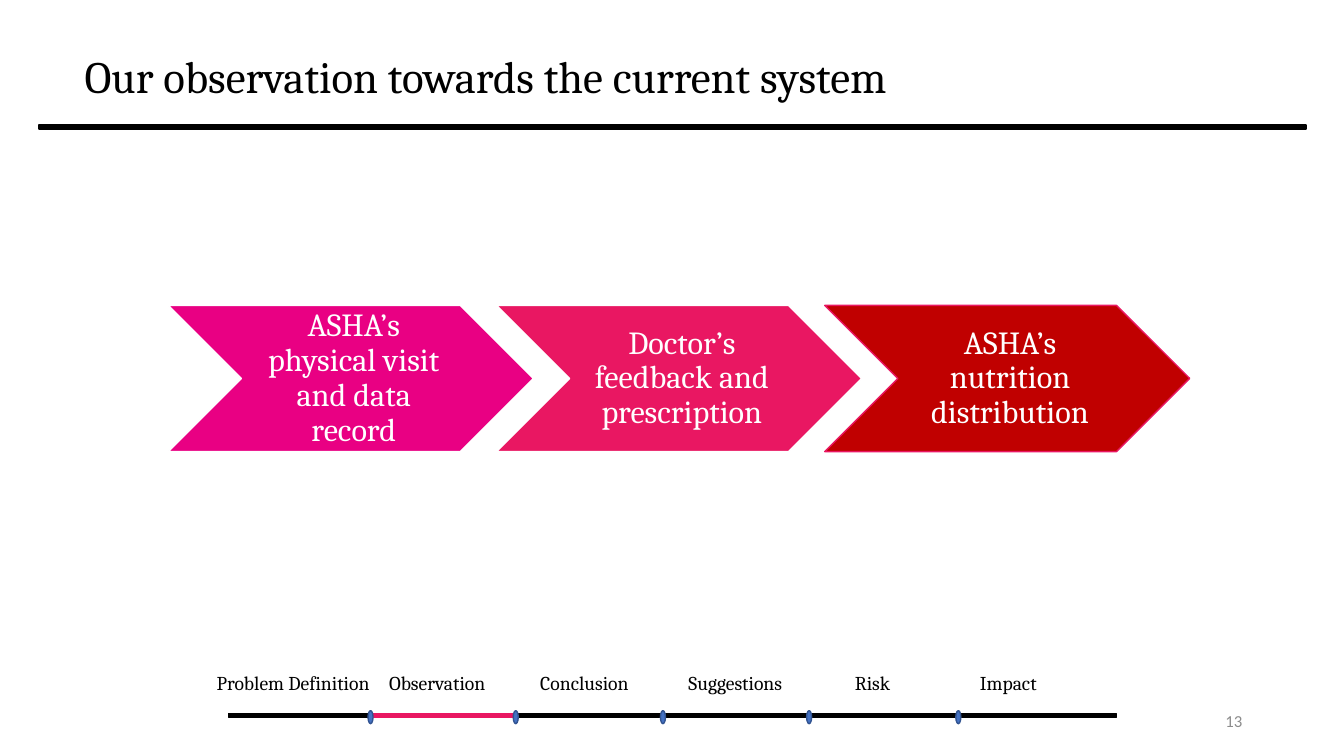
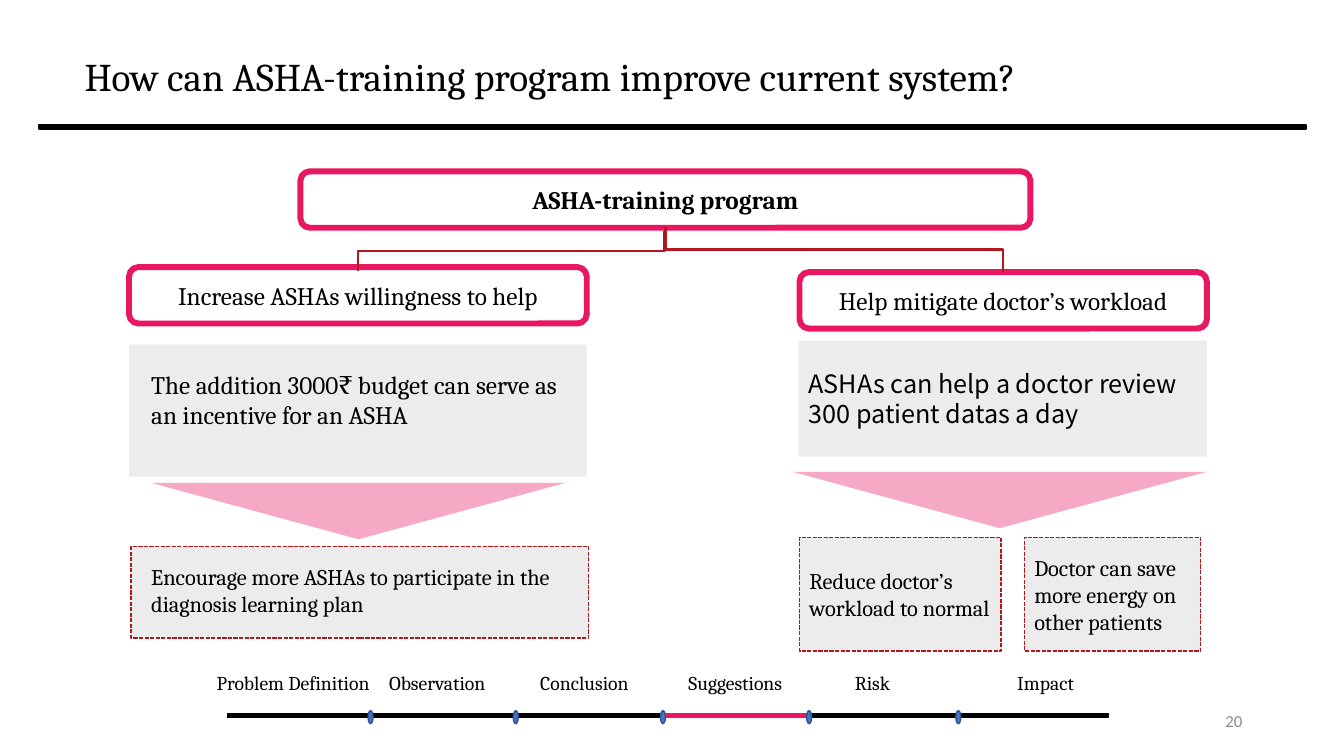
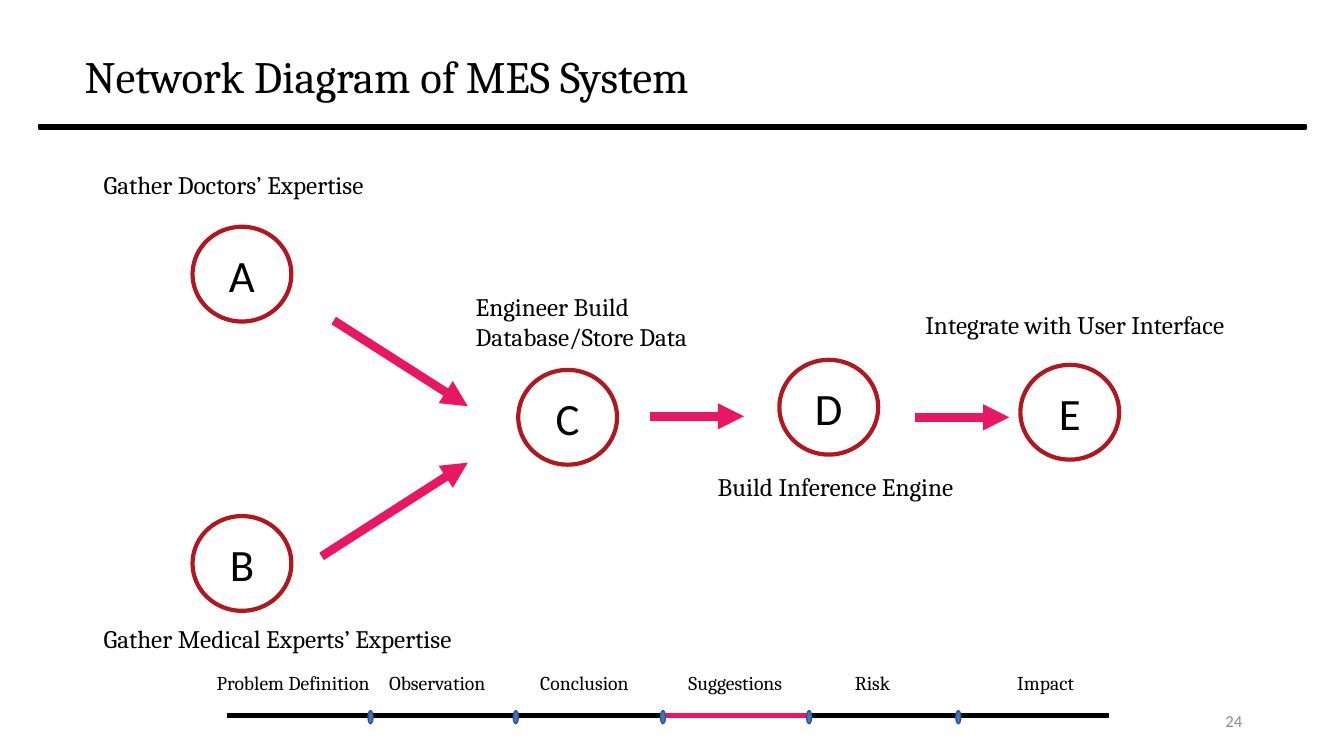
from dataclasses import dataclass

from lxml import etree
from pptx import Presentation
from pptx.dml.color import RGBColor
from pptx.enum.dml import MSO_LINE
from pptx.enum.shapes import MSO_CONNECTOR, MSO_SHAPE
from pptx.enum.text import MSO_ANCHOR, PP_ALIGN
from pptx.oxml.ns import qn
from pptx.util import Inches, Pt

BAR, CHEVRON, OVAL = MSO_SHAPE.MATH_MINUS, MSO_SHAPE.CHEVRON, MSO_SHAPE.OVAL
RECTANGLE, ROUNDED = MSO_SHAPE.RECTANGLE, MSO_SHAPE.ROUNDED_RECTANGLE
TRIANGLE = MSO_SHAPE.ISOSCELES_TRIANGLE
STRAIGHT, ELBOW = MSO_CONNECTOR.STRAIGHT, MSO_CONNECTOR.ELBOW
LEFT, CENTER, RIGHT = PP_ALIGN.LEFT, PP_ALIGN.CENTER, PP_ALIGN.RIGHT
TOP, MIDDLE = MSO_ANCHOR.TOP, MSO_ANCHOR.MIDDLE
DASHED = MSO_LINE.SQUARE_DOT
DEFAULT_MARGINS = (0.1, 0.05, 0.1, 0.05)


@dataclass(frozen=True)
class Theme:
    ink: str = "000000"
    paper: str = "FFFFFF"
    accent: str = "E91762"
    magenta: str = "E90083"
    red: str = "C00000"
    crimson: str = "B0171F"
    panel: str = "E7E6E6"
    dot: str = "4472C4"
    dot_edge: str = "325491"
    muted: str = "8C8C8C"
    serif: str = "Cambria"
    sans: str = "Calibri"
    wide_sans: str = "Noto Sans CJK SC"
    title: int = 32
    long_title: int = 28
    step: int = 23
    body: int = 18
    note: int = 16
    stage: int = 14
    number: int = 12


@dataclass(frozen=True)
class Box:
    left: float
    top: float
    width: float
    height: float

    def inner(self, left, top, width, height):
        """Box placed relative to this one's top left corner."""
        return Box(self.left + left, self.top + top, width, height)

    def lengths(self):
        return [Inches(value) for value in
                (self.left, self.top, self.width, self.height)]


THEME = Theme()
PAGE = Box(0, 0, 13.33, 7.5)
STAGES = [("Problem Definition", 2.05, 1.8), ("Observation", 3.76, 1.22),
          ("Conclusion", 5.26, 1.13), ("Suggestions", 6.73, 1.2),
          ("Risk", 8.38, 0.57)]
STAGE_DOTS = [3.65, 5.09, 6.55, 8, 9.48]


def write(shape, text, size=THEME.body, font=THEME.serif, color=THEME.ink,
          align=LEFT, anchor=MIDDLE, bold=False, wrap=True, spacing=None,
          margins=DEFAULT_MARGINS):
    frame = shape.text_frame
    frame.word_wrap = wrap
    frame.vertical_anchor = anchor
    (frame.margin_left, frame.margin_top, frame.margin_right,
     frame.margin_bottom) = [Inches(margin) for margin in margins]
    paragraph = frame.paragraphs[0]
    paragraph.text = text
    paragraph.alignment = align
    paragraph.line_spacing = spacing
    paragraph.font.size = Pt(size)
    paragraph.font.name = font
    paragraph.font.bold = bold
    paragraph.font.color.rgb = RGBColor.from_string(color)


def add_text(slide, box, text, **style):
    write(slide.shapes.add_textbox(*box.lengths()), text, **style)


def add_shape(slide, kind, box, fill=None, opacity=100, line=None, weight=1,
              dash=None):
    shape = slide.shapes.add_shape(kind, *box.lengths())
    shape.shadow.inherit = False
    if fill:
        shape.fill.solid()
        shape.fill.fore_color.rgb = RGBColor.from_string(fill)
        if opacity < 100:
            color = shape.element.spPr.find(qn("a:solidFill"))[0]
            etree.SubElement(color, qn("a:alpha"), val=str(opacity * 1000))
    else:
        shape.fill.background()
    if line:
        shape.line.color.rgb = RGBColor.from_string(line)
        shape.line.width = Pt(weight)
        shape.line.dash_style = dash
    else:
        shape.line.fill.background()
    return shape


def add_line(slide, kind, start, end, color, weight, arrow=False):
    connector = slide.shapes.add_connector(
        kind, *[Inches(value) for value in (*start, *end)])
    connector.line.color.rgb = RGBColor.from_string(color)
    connector.line.width = Pt(weight)
    properties = connector.element.spPr
    if arrow:
        etree.SubElement(properties.find(qn("a:ln")), qn("a:tailEnd"),
                         type="triangle")
    etree.SubElement(properties, qn("a:effectLst"))
    return connector


def add_branch(slide, start, end):
    """Elbow that leaves downwards: a sideways one, turned a quarter."""
    run, drop = abs(end[0] - start[0]), end[1] - start[1]
    middle_x, middle_y = (start[0] + end[0]) / 2, (start[1] + end[1]) / 2
    near, far = middle_x - drop / 2, middle_x + drop / 2
    to_right = end[0] > start[0]
    if to_right:
        near, far = far, near
    connector = add_line(slide, ELBOW, (near, middle_y - run / 2),
                         (far, middle_y + run / 2), THEME.crimson, 1.5)
    degrees = 270 if to_right else 90
    connector.element.spPr.find(qn("a:xfrm")).set("rot", str(degrees * 60000))


def add_header(slide, box, title, size):
    add_text(slide, box.inner(0.74, 0.06, 11.5, 1.45), title, size=size,
             spacing=0.9)
    add_shape(slide, BAR, box.inner(-1.88, 1.17, 17.1, 0.18), THEME.ink,
              line=THEME.ink)


def add_stage_track(slide, box, active, track_width, impact_left):
    """Progress line; the stretch after dot number `active` is lit."""
    for left, width, color in ((0.68, track_width, THEME.ink),
                               (STAGE_DOTS[active] - 0.21, 1.93, THEME.accent)):
        add_shape(slide, BAR, box.inner(left, 0.4, width, 0.18), color,
                  line=color)
    for left in STAGE_DOTS:
        add_shape(slide, OVAL, box.inner(left, 0.44, 0.05, 0.13), THEME.dot,
                  line=THEME.dot_edge)
    for name, left, width in [*STAGES, ("Impact", impact_left, 0.79)]:
        add_text(slide, box.inner(left, 0, width, 0.34), name,
                 size=THEME.stage, anchor=TOP, wrap=False)


def add_page(presentation, title, number, active, title_size=THEME.title,
             track_width=11.89, impact_left=9.99):
    slide = presentation.slides.add_slide(presentation.slide_layouts[6])
    add_header(slide, PAGE, title, title_size)
    footer = PAGE.inner(0, 6.61, PAGE.width, 0.74)
    add_stage_track(slide, footer, active, track_width, impact_left)
    add_text(slide, footer.inner(9.42, 0.34, 3, 0.4), str(number),
             size=THEME.number, font=THEME.sans, color=THEME.muted,
             align=RIGHT)
    return slide


def add_process(slide, box, steps):
    pitch = 3.255
    for index, (text, fill, edge) in enumerate(steps):
        left = index * pitch
        add_shape(slide, CHEVRON, box.inner(left, 0, 3.62, box.height), fill,
                  line=edge)
        add_text(slide, box.inner(left + 0.72, 0, 2.17, box.height), text,
                 size=THEME.step, color=THEME.paper, align=CENTER,
                 spacing=0.9, margins=(0.1, 0.03, 0.03, 0.03))


def add_heading(slide, box, text, bold=False):
    shape = add_shape(slide, ROUNDED, box, line=THEME.accent, weight=4.25)
    write(shape, text, align=CENTER, bold=bold)


def add_panel(slide, box, text, edge=None, **style):
    shape = add_shape(slide, RECTANGLE, box, THEME.panel, 75, edge,
                      dash=DASHED if edge else None)
    write(shape, text, **style)


def add_benefit(slide, box, heading, evidence, arrow_at, outcomes):
    """Column: heading, evidence panel, arrow down, dashed outcomes."""
    add_heading(slide, box.inner(0, 0, box.width, 0.56), heading)
    place, text, style = evidence
    add_panel(slide, box.inner(*place), text, **style)
    arrow = add_shape(slide, TRIANGLE, box.inner(*arrow_at, 4.11, 0.56),
                      THEME.accent, 37)
    arrow.rotation = 180
    for place, text, style in outcomes:
        add_panel(slide, box.inner(*place), text, THEME.crimson,
                  size=THEME.note, **style)


def add_network(slide, box, nodes, captions, arrows):
    for letter, left, top in nodes:
        node = add_shape(slide, OVAL, box.inner(left, top, 0.98, 0.94),
                         THEME.paper, line=THEME.crimson, weight=3)
        write(node, letter, size=THEME.title, font=THEME.sans, align=CENTER)
    for text, *place in captions:
        add_text(slide, box.inner(*place), text, anchor=TOP)
    for ends in arrows:
        start, end = [(box.left + x, box.top + y) for x, y in ends]
        add_line(slide, STRAIGHT, start, end, THEME.accent, 6.25, arrow=True)


def build_observation(presentation):
    slide = add_page(presentation, "Our observation towards the current system",
                     13, 0, track_width=11.98, impact_left=9.62)
    add_process(slide, Box(1.67, 3.03, 10.13, 1.45), [
        ("ASHA’s physical visit and data record", THEME.magenta, THEME.paper),
        ("Doctor’s feedback and prescription", THEME.accent, THEME.paper),
        ("ASHA’s nutrition distribution", THEME.red, THEME.accent),
    ])


def build_training(presentation):
    slide = add_page(presentation,
                     "How can ASHA-training program improve current system?",
                     20, 2, title_size=THEME.long_title)
    add_heading(slide, Box(2.98, 1.7, 7.24, 0.56), "ASHA-training program",
                bold=True)
    add_benefit(
        slide, Box(1.28, 2.65, 4.54, 3.68),
        "Increase ASHAs willingness to help",
        ((0, 0.77, 4.54, 1.31),
         "The addition 3000₹ budget can serve as an incentive for an ASHA",
         {"anchor": TOP, "margins": (0.22, 0.24, 0.22, 0.05)}),
        (0.22, 2.14),
        [((0.02, 2.77, 4.54, 0.91),
          "Encourage more ASHAs to participate in the diagnosis learning plan",
          {"anchor": TOP, "margins": (0.2, 0.17, 0.12, 0.05)})])
    add_benefit(
        slide, Box(7.93, 2.7, 4.04, 3.76), "Help mitigate doctor’s workload",
        ((-0.01, 0.68, 4.05, 1.15),
         "ASHAs can help a doctor review 300 patient datas a day",
         {"font": THEME.wide_sans}),
        (-0.07, 1.98),
        [((0, 2.63, 2, 1.13), "Reduce doctor’s workload to normal", {}),
         ((2.23, 2.63, 1.75, 1.13),
          "Doctor can save more energy on other patients", {})])
    add_branch(slide, (6.6, 2.25), (9.95, 2.7))
    add_branch(slide, (6.59, 2.29), (3.55, 2.69))


def build_network(presentation):
    slide = add_page(presentation, "Network Diagram of MES System", 24, 2)
    add_network(
        slide, Box(0.93, 1.63, 11.49, 4.9),
        nodes=[("A", 0.98, 0.62), ("B", 0.98, 3.49), ("C", 4.21, 2.04),
               ("D", 6.8, 1.94), ("E", 9.19, 1.99)],
        captions=[
            ("Gather Doctors’ Expertise", 0, 0, 6.09, 0.4),
            ("Gather Medical Experts’ Expertise", 0, 4.5, 3.82, 0.4),
            ("Engineer Build Database/Store Data", 3.69, 1.21, 3, 0.71),
            ("Build Inference Engine", 6.09, 3, 3.09, 0.4),
            ("Integrate with User Interface", 8.15, 1.39, 3.34, 0.4)],
        arrows=[((2.38, 1.55), (3.71, 2.4)), ((2.26, 3.89), (3.71, 2.96)),
                ((5.52, 2.5), (6.45, 2.5)), ((8.15, 2.51), (9.08, 2.51))])


def main():
    presentation = Presentation()
    presentation.slide_width = Inches(PAGE.width)
    presentation.slide_height = Inches(PAGE.height)
    build_observation(presentation)
    build_training(presentation)
    build_network(presentation)
    presentation.save("out.pptx")


if __name__ == "__main__":
    main()
